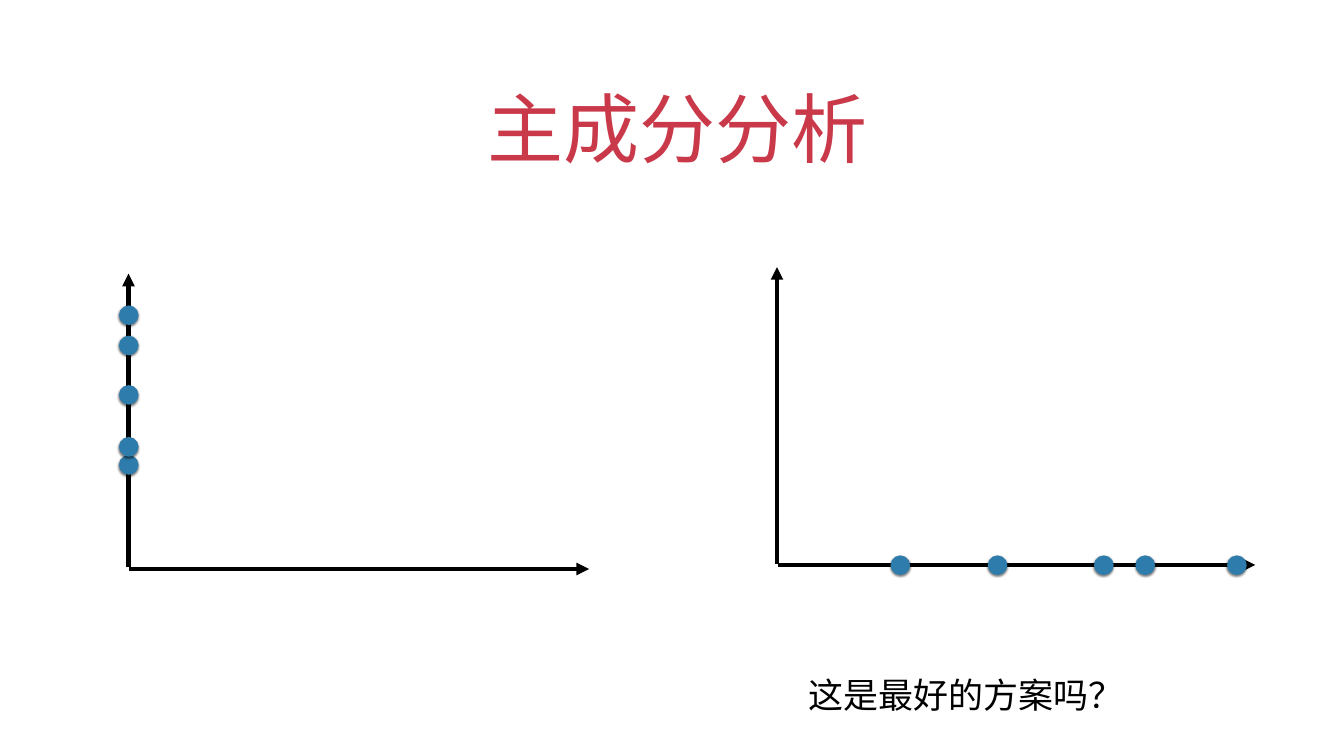
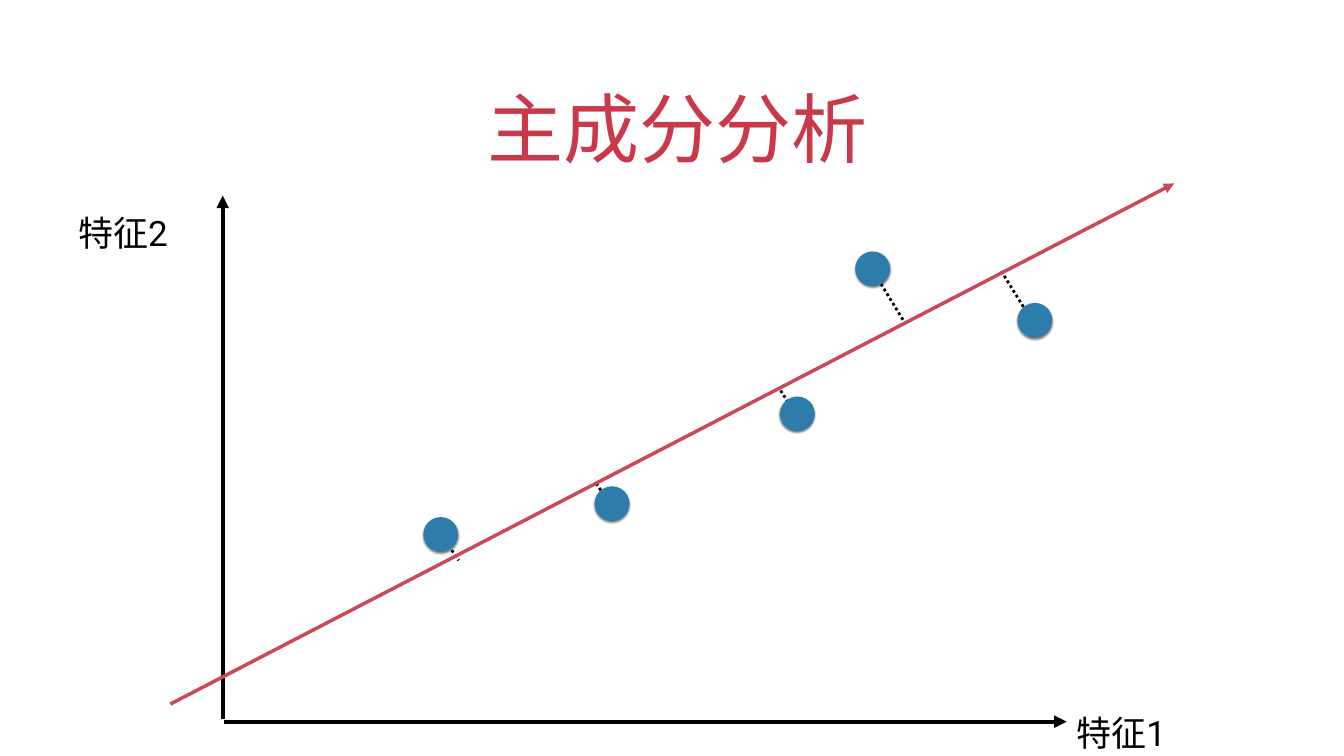
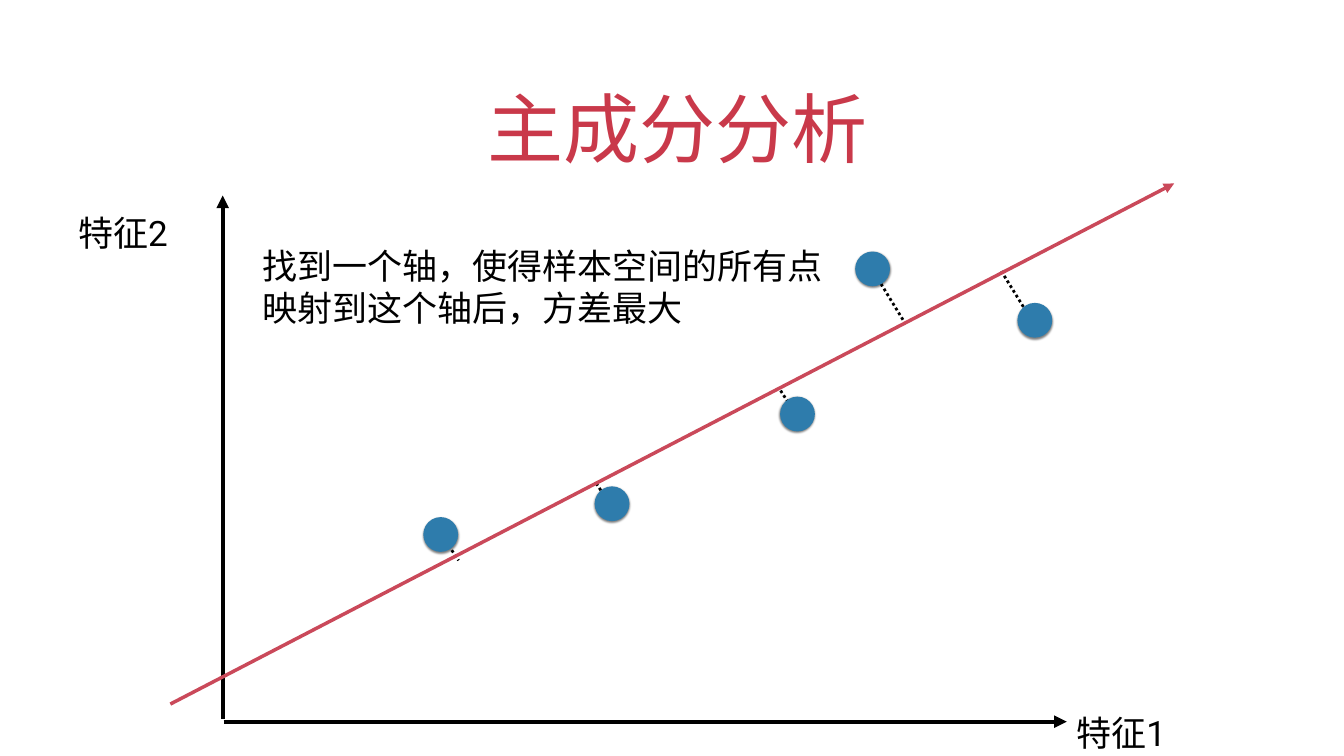
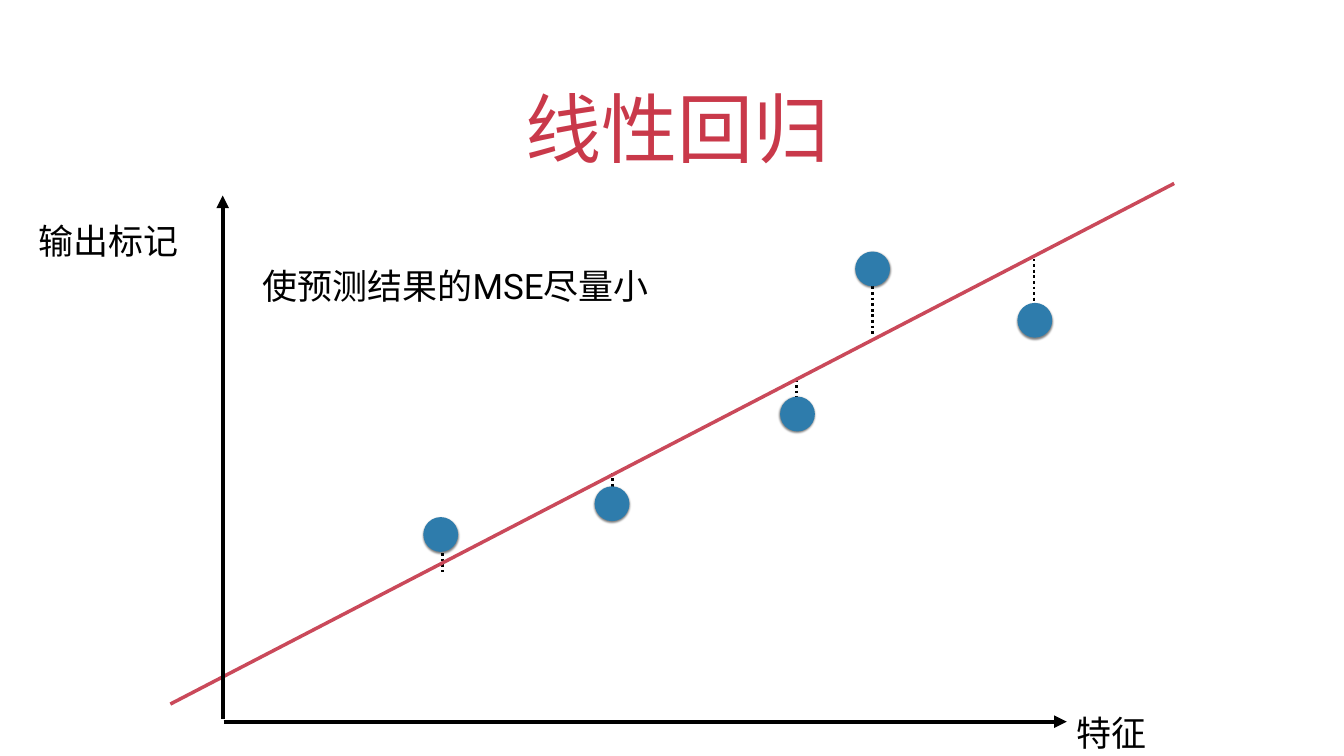
from lxml import etree
from pptx import Presentation
from pptx.dml.color import RGBColor
from pptx.enum.dml import MSO_LINE_DASH_STYLE as DASH
from pptx.enum.shapes import MSO_CONNECTOR, MSO_SHAPE
from pptx.enum.text import MSO_ANCHOR, MSO_AUTO_SIZE, PP_ALIGN
from pptx.oxml import parse_xml
from pptx.oxml.ns import qn
from pptx.util import Emu, Pt

# Shared settings: 100 px to the inch
PX = 9144
SLIDE_WIDTH, SLIDE_HEIGHT = 2667, 1500
FONT = "Roboto"
COLORS = {"title": "C9394A", "fit": "CA495A", "dot": "2E7CAC", "ink": "000000"}
TITLE_SIZE, BODY_SIZE = 108.6, 50
INSET = 6

SHADOW_XML = (
    '<a:effectLst xmlns:a="http://schemas.openxmlformats.org/drawingml/2006/main">'
    '<a:outerShdw blurRad="38100" dist="25400" dir="5400000" rotWithShape="0">'
    f'<a:srgbClr val="{COLORS["ink"]}"><a:alpha val="50000"/></a:srgbClr>'
    '</a:outerShdw></a:effectLst>'
)

# One-feature plots: dot positions along the axis
SMALL_DOT = 39
FEATURE_2_TOPS = [903, 764, 606, 666, 867]
FEATURE_1_LEFTS = [1767, 2171, 2253, 2435, 1960]

# Scatter plot: dot corners, fitted line and the dotted distances to it
BIG_DOT = 69
SCATTER_DOTS = [(840, 1026), (1548, 787), (1697, 499), (2019, 601), (1180, 965)]
FIT_LINE = ((2330, 364), (338, 1397))
PROJECTIONS = [
    ((878, 1064), (910, 1112)),
    ((1183, 959), (1215, 1007)),
    ((1549, 775), (1580, 823)),
    ((1731, 535), (1797, 643)),
    ((1987, 538), (2052, 643)),
]
RESIDUALS = [  # x, top, bottom
    (878, 1064, 1134),
    (1215, 938, 1007),
    (1580, 753, 823),
    (1731, 535, 664),
    (2052, 513, 643),
]


def px(length):
    return Emu(length * PX)


def color(name):
    return RGBColor.from_string(COLORS[name])


def set_text(shape, text, size, color_name, anchor):
    """Fill a shape with one paragraph and return that paragraph."""
    frame = shape.text_frame
    frame.text = text
    frame.word_wrap = True
    frame.vertical_anchor = anchor
    frame.margin_left = frame.margin_right = px(INSET)
    frame.margin_top = frame.margin_bottom = px(INSET)
    paragraph = frame.paragraphs[0]
    font = paragraph.runs[0].font
    font.name, font.size = FONT, Pt(size)
    font.color.rgb = color(color_name)
    etree.SubElement(font._element, qn("a:ea")).set("typeface", FONT)
    return paragraph


def add_titled_slide(presentation, title_text):
    slide = presentation.slides.add_slide(presentation.slide_layouts[0])
    subtitle = slide.placeholders[1].element
    subtitle.getparent().remove(subtitle)
    title = slide.shapes.title
    title.left, title.top = px(194), px(127)
    title.width, title.height = px(2278), px(222)
    paragraph = set_text(title, title_text, TITLE_SIZE, "title", MSO_ANCHOR.BOTTOM)
    title.text_frame.auto_size = MSO_AUTO_SIZE.NONE
    paragraph.alignment = PP_ALIGN.CENTER
    properties = paragraph._p.get_or_add_pPr()
    properties.set("marL", "0")
    properties.set("indent", str(px(24)))
    return slide


def add_text(slide, text, left, top, width, height=108, spacing=None):
    box = slide.shapes.add_textbox(px(left), px(top), px(width), px(height))
    paragraph = set_text(box, text, BODY_SIZE, "ink", MSO_ANCHOR.MIDDLE)
    box.text_frame.auto_size = MSO_AUTO_SIZE.SHAPE_TO_FIT_TEXT
    if spacing:
        paragraph.line_spacing = spacing


def add_line(shapes, start, end, width, color_name="ink", dash=None, arrow=None):
    """Draw a straight line; arrow is headEnd (start), tailEnd (end) or None."""
    line = shapes.add_connector(
        MSO_CONNECTOR.STRAIGHT, *(px(value) for value in (*start, *end)))
    line.line.color.rgb = color(color_name)
    line.line.width = Pt(width)
    if dash:
        line.line.dash_style = dash
    if arrow:
        etree.SubElement(line.line._get_or_add_ln(), qn(f"a:{arrow}")).set("type", "triangle")
    etree.SubElement(line._element.spPr, qn("a:effectLst"))


def add_axis(shapes, start, end):
    add_line(shapes, start, end, 6, arrow="tailEnd")


def add_dot(shapes, left, top, size):
    dot = shapes.add_shape(MSO_SHAPE.OVAL, px(left), px(top), px(size), px(size))
    dot.fill.solid()
    dot.fill.fore_color.rgb = color("dot")
    dot.line.fill.background()
    dot._element.spPr.append(parse_xml(SHADOW_XML))


def add_axis_plot(slide, horizontal, vertical, dots):
    """Group two axes with the dots that lie on one of them."""
    shapes = slide.shapes.add_group_shape().shapes
    add_axis(shapes, *horizontal)
    add_axis(shapes, *vertical)
    for left, top in dots:
        add_dot(shapes, left, top, SMALL_DOT)


def add_distances(slide, segments):
    shapes = slide.shapes.add_group_shape().shapes
    for start, end in segments:
        add_line(shapes, start, end, 4, dash=DASH.ROUND_DOT)
    return shapes


def add_scatter(slide, x_label, y_label, y_label_at):
    add_axis(slide.shapes, (444, 1432), (2117, 1432))
    add_axis(slide.shapes, (442, 1427), (442, 388))
    add_text(slide, x_label, 2130, 1378, 388, spacing=1.5)
    add_text(slide, y_label, *y_label_at, 388, spacing=1.5)
    for left, top in SCATTER_DOTS:
        add_dot(slide.shapes, left, top, BIG_DOT)


def build_single_features(presentation):
    slide = add_titled_slide(presentation, "主成分分析")
    add_axis_plot(slide, ((256, 1129), (1169, 1129)), ((255, 1126), (255, 543)),
                  [(236, top) for top in FEATURE_2_TOPS])
    add_axis_plot(slide, ((1543, 1121), (2491, 1121)), ((1542, 1119), (1542, 530)),
                  [(left, 1102) for left in FEATURE_1_LEFTS])
    add_text(slide, "这是最好的方案吗？", 1599, 1323, 1126)


def build_projection(presentation):
    slide = add_titled_slide(presentation, "主成分分析")
    add_distances(slide, PROJECTIONS)
    add_scatter(slide, "特征1", "特征2", (149, 387))
    add_line(slide.shapes, *FIT_LINE, 5, "fit", arrow="headEnd")
    return slide


def build_regression(presentation):
    slide = add_titled_slide(presentation, "线性回归")
    group = add_distances(
        slide, [((x, top), (x, bottom)) for x, top, bottom in RESIDUALS])
    add_line(group, *FIT_LINE, 5, "fit")
    add_scatter(slide, "特征", "输出标记", (71, 402))
    add_text(slide, "使预测结果的MSE尽量小", 515, 513, 1126)


def main():
    presentation = Presentation()
    presentation.slide_width = px(SLIDE_WIDTH)
    presentation.slide_height = px(SLIDE_HEIGHT)

    build_single_features(presentation)
    build_projection(presentation)
    explained = build_projection(presentation)
    add_text(explained, "找到一个轴，使得样本空间的所有点映射到这个轴后，方差最大",
             515, 465, 1126, 206)
    build_regression(presentation)

    presentation.save("out.pptx")


if __name__ == "__main__":
    main()
